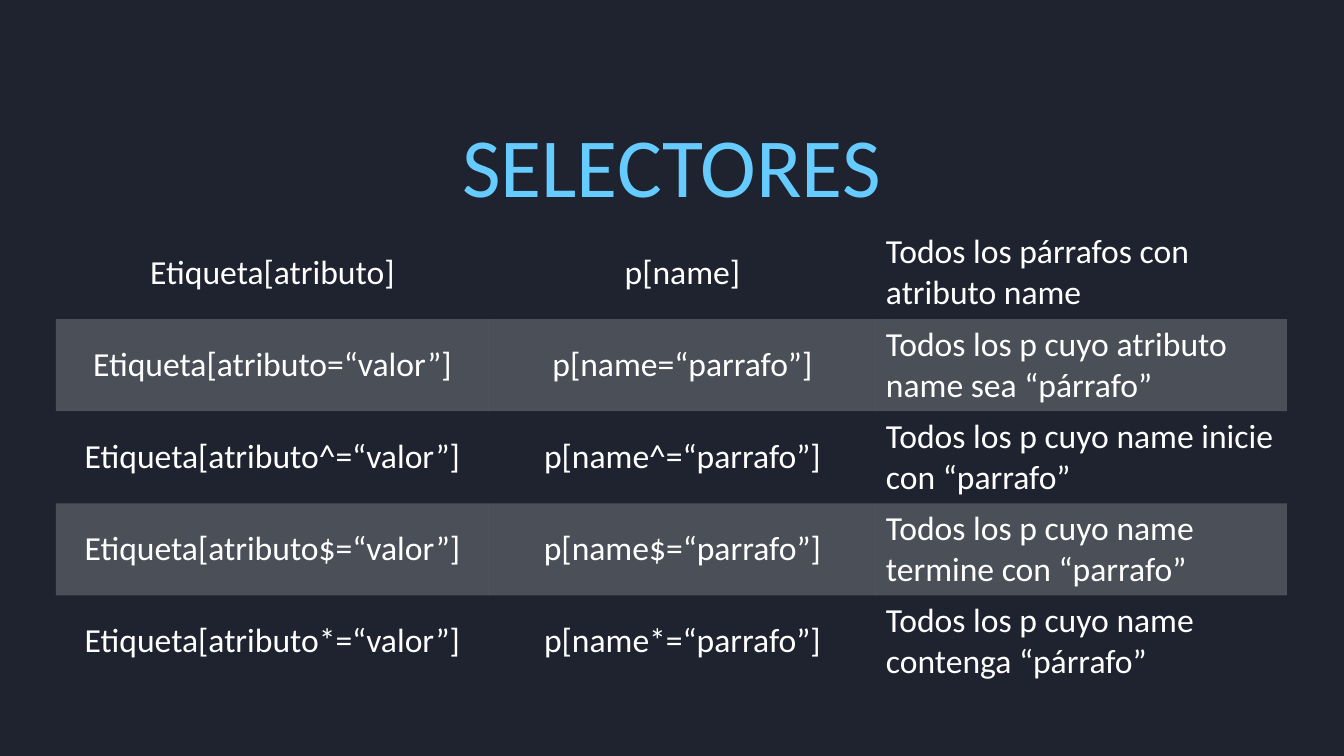
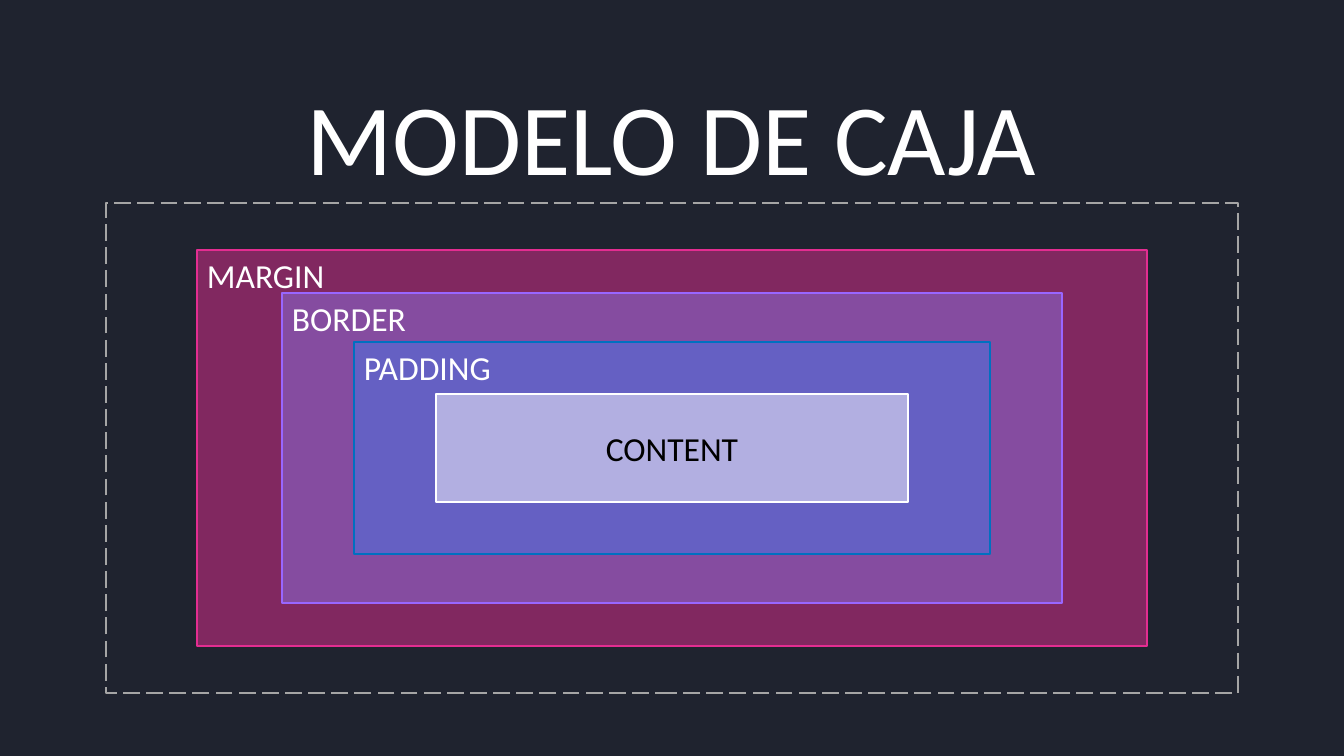
from pptx import Presentation
from pptx.dml.color import RGBColor
from pptx.enum.dml import MSO_LINE
from pptx.enum.shapes import MSO_SHAPE
from pptx.enum.text import MSO_ANCHOR as Anchor, PP_ALIGN as Align
from pptx.oxml.ns import qn
from pptx.util import Pt

EMU_PER_PX = 914400 / 100.8
SLIDE_WIDTH, SLIDE_HEIGHT = 1344, 756
MARGIN_LEFT, CONTENT_WIDTH = 56, 1231
BOX_CENTER_X, BOX_CENTER_Y = 672, 448
FONT = "Calibri"
BODY_SIZE = 24
NO_GRID_STYLE = "{2D5ABB26-0587-4C30-8999-92F81FD0307C}"

COLORS = {
    "background": "1F232F",
    "white": "FFFFFF",
    "black": "000000",
    "sky": "66CCFF",
    "gray": "A5A5A5",
    "pink": "E32D91",
    "purple": "8971E1",
    "violet": "9966FF",
    "blue": "4775E7",
    "ocean": "0070C0",
}

COLUMN_WIDTHS = [433, 387, 411]
ROW_HEIGHT = 92
SELECTORS = [
    ("Etiqueta[atributo]", "p[name]", "Todos los párrafos con atributo name"),
    ("Etiqueta[atributo=“valor”]", "p[name=“parrafo”]",
     "Todos los p cuyo atributo name sea “párrafo”"),
    ("Etiqueta[atributo^=“valor”]", "p[name^=“parrafo”]",
     "Todos los p cuyo name inicie con “parrafo”"),
    ("Etiqueta[atributo$=“valor”]", "p[name$=“parrafo”]",
     "Todos los p cuyo name termine con “parrafo”"),
    ("Etiqueta[atributo*=“valor”]", "p[name*=“parrafo”]",
     "Todos los p cuyo name contenga “párrafo”"),
]

LAYERS = [
    ("MARGIN", 950, 396, "pink", "pink"),
    ("BORDER", 780, 310, "purple", "violet"),
    ("PADDING", 636, 212, "blue", "ocean"),
]


def px(length):
    """Turn pixels into EMU."""
    return round(length * EMU_PER_PX)


def rgb(name):
    """Look up a palette colour."""
    return RGBColor.from_string(COLORS[name])


def write(frame, text, size=BODY_SIZE, color="white", align=Align.LEFT):
    """Write one styled paragraph into a text frame."""
    frame.word_wrap = True
    paragraph = frame.paragraphs[0]
    paragraph.text = text
    paragraph.alignment = align
    paragraph.font.name = FONT
    paragraph.font.size = Pt(size)
    paragraph.font.color.rgb = rgb(color)


def fill_translucent(fill, properties, color, percent):
    """Fill with a colour at the given opacity."""
    fill.solid()
    fill.fore_color.rgb = rgb(color)
    tint = properties.find(qn("a:solidFill"))[0]
    alpha = tint.makeelement(qn("a:alpha"), {"val": str(percent * 1000)})
    tint.append(alpha)


def add_slide(deck):
    """Add a blank slide on the dark background."""
    slide = deck.slides.add_slide(deck.slide_layouts[6])
    slide.background.fill.solid()
    slide.background.fill.fore_color.rgb = rgb("background")
    return slide


def add_title(slide, text, top, height, size, color, anchor):
    """Add a centred title across the content width."""
    title = slide.shapes.add_textbox(
        px(MARGIN_LEFT), px(top), px(CONTENT_WIDTH), px(height))
    title.text_frame.vertical_anchor = anchor
    write(title.text_frame, text, size, color, Align.CENTER)


def add_selector_table(slide, top):
    """Add the selector table with every second row shaded."""
    holder = slide.shapes.add_table(
        len(SELECTORS), len(COLUMN_WIDTHS), px(MARGIN_LEFT), px(top),
        px(CONTENT_WIDTH), px(ROW_HEIGHT * len(SELECTORS)))
    table = holder.table
    table.first_row = table.horz_banding = False
    next(holder.element.iter(qn("a:tableStyleId"))).text = NO_GRID_STYLE
    for column, width in zip(table.columns, COLUMN_WIDTHS):
        column.width = px(width)
    for row_index, entries in enumerate(SELECTORS):
        table.rows[row_index].height = px(ROW_HEIGHT)
        for column_index, text in enumerate(entries):
            cell = table.cell(row_index, column_index)
            cell.vertical_anchor = Anchor.MIDDLE
            align = Align.CENTER if column_index < 2 else Align.LEFT
            write(cell.text_frame, text, align=align)
            if row_index % 2:
                fill_translucent(cell.fill, cell._tc.tcPr, "white", 20)
            else:
                cell.fill.background()


def add_box(group, width, height, line, fill=None):
    """Add a rectangle around the shared centre of the box model."""
    box = group.shapes.add_shape(
        MSO_SHAPE.RECTANGLE,
        px(BOX_CENTER_X - width / 2), px(BOX_CENTER_Y - height / 2),
        px(width), px(height))
    box.shadow.inherit = False
    if fill:
        fill_translucent(box.fill, box.element.spPr, fill, 50)
    else:
        box.fill.background()
    box.line.color.rgb = rgb(line)
    box.line.width = Pt(1.5)
    return box


def add_box_model(slide):
    """Add the nested boxes of the CSS box model."""
    group = slide.shapes.add_group_shape()
    outline = add_box(group, 1132, 490, "gray")
    outline.line.dash_style = MSO_LINE.LONG_DASH
    for label, width, height, fill, line in LAYERS:
        layer = add_box(group, width, height, line, fill)
        layer.text_frame.vertical_anchor = Anchor.TOP
        write(layer.text_frame, label)
    content = add_box(group, 472, 108, "white", "white")
    content.text_frame.vertical_anchor = Anchor.MIDDLE
    write(content.text_frame, "CONTENT", color="black", align=Align.CENTER)


def main():
    """Build the deck and save it."""
    deck = Presentation()
    deck.slide_width, deck.slide_height = px(SLIDE_WIDTH), px(SLIDE_HEIGHT)

    selectors = add_slide(deck)
    add_selector_table(selectors, 227)
    add_title(selectors, "SELECTORES", 100, 127, 60, "sky", Anchor.MIDDLE)

    box_model = add_slide(deck)
    add_title(box_model, "MODELO DE CAJA", 70, 586, 72, "white", Anchor.TOP)
    add_box_model(box_model)

    deck.save("out.pptx")


if __name__ == "__main__":
    main()
